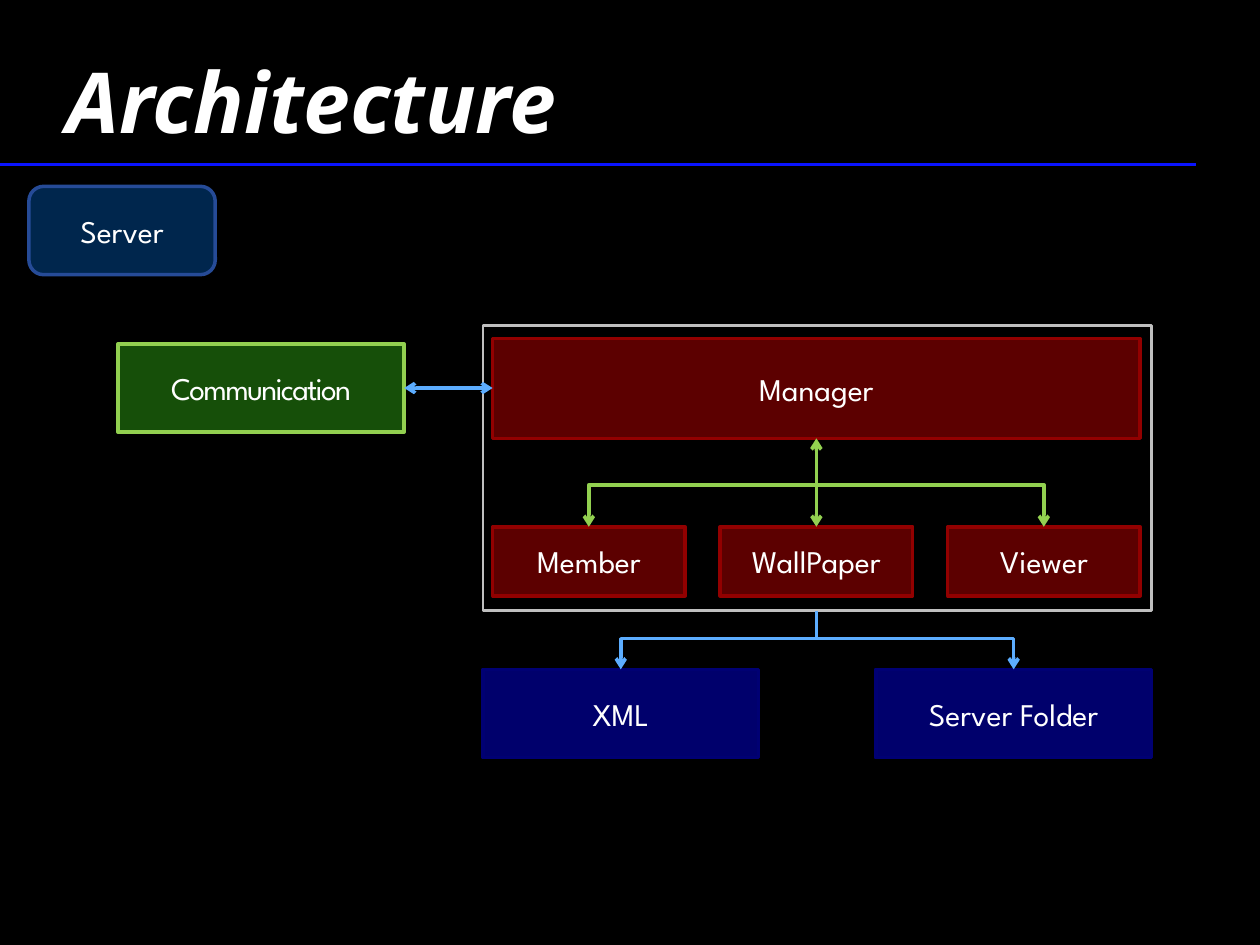
from lxml.etree import SubElement
from pptx import Presentation
from pptx.dml.color import RGBColor
from pptx.enum.shapes import MSO_CONNECTOR as Connector, MSO_SHAPE as Shape
from pptx.enum.text import MSO_ANCHOR as Anchor, PP_ALIGN as Align
from pptx.oxml.ns import qn
from pptx.util import Pt

COLORS = {
    "background": "000000", "text": "FFFFFF", "rule": "0A14FF", "frame": "BFBFBF",
    "red": "5C0000", "red edge": "920000", "green": "164F09", "lime": "92D050",
    "navy": "00006C", "navy edge": "000073", "server": "00264D",
    "server edge": "264B97", "sky": "5CADFF",
}
RED, NAVY = ("red", "red edge"), ("navy", "navy edge")

# Boxes: label, (left, top, width, height), (fill, edge)
FRAME = (276, 186, 382, 163)
MANAGER = (281.5, 193.5, 370, 57)
COMMUNICATION = (67.5, 196.5, 163.5, 50.5)
MODULES = ["Member", "WallPaper", "Viewer"]
MODULE_TOP, MODULE_WIDTH, MODULE_HEIGHT = 301, 110, 39.5
STORES = ["XML", "Server Folder"]
STORE_TOP, STORE_WIDTH, STORE_HEIGHT = 382.5, 157.5, 50.5


def spread(labels, outer, top, width, height, colors):
    """Boxes at equal gaps across the full width of the outer box."""
    step = (outer[2] - width) / (len(labels) - 1)
    return [(label, (outer[0] + i * step, top, width, height), colors)
            for i, label in enumerate(labels)]


modules = spread(MODULES, MANAGER, MODULE_TOP, MODULE_WIDTH, MODULE_HEIGHT, RED)
stores = spread(STORES, FRAME, STORE_TOP, STORE_WIDTH, STORE_HEIGHT, NAVY)
boxes = modules + [
    ("Manager", MANAGER, RED),
    ("Communication", COMMUNICATION, ("green", "lime")),
] + stores

presentation = Presentation()
presentation.slide_width, presentation.slide_height = Pt(720), Pt(540)
slide = presentation.slides.add_slide(presentation.slide_layouts[6])


def color(name):
    return RGBColor.from_string(COLORS[name])


slide.background.fill.solid()
slide.background.fill.fore_color.rgb = color("background")


def style_line(shape, name, width=2, arrows=False):
    shape.line.color.rgb = color(name)
    shape.line.width = Pt(width)
    if arrows:
        for end in ("a:headEnd", "a:tailEnd"):
            SubElement(shape.line._get_or_add_ln(), qn(end), type="arrow")


def add_line(start, end, name, width=2, arrows=False):
    line = slide.shapes.add_connector(
        Connector.STRAIGHT, *(Pt(value) for value in start + end))
    SubElement(line._element.spPr, qn("a:effectLst"))
    # The outline has to come before the effect list
    style_line(line, name, width, arrows)


def add_bracket(children, bar_y, name):
    """Bar above the outer boxes, with an arrow down to each."""
    (left, right), top = [center_x(children[i][1]) for i in (0, -1)], children[0][1][1]
    builder = slide.shapes.build_freeform(Pt(left), Pt(top))
    builder.add_line_segments(
        [(Pt(x), Pt(y)) for x, y in ((left, bar_y), (right, bar_y), (right, top))],
        close=False)
    bracket = builder.convert_to_shape()
    bracket.fill.background()
    bracket.shadow.inherit = False
    style_line(bracket, name, arrows=True)


def center_x(box):
    return box[0] + box[2] / 2


def add_box(label, box, colors, kind=Shape.RECTANGLE, width=2):
    fill, edge = colors
    shape = slide.shapes.add_shape(kind, *(Pt(value) for value in box))
    shape.shadow.inherit = False
    if fill:
        shape.fill.solid()
        shape.fill.fore_color.rgb = color(fill)
    else:
        shape.fill.background()
    style_line(shape, edge, width)
    if label:
        shape.text_frame.vertical_anchor = Anchor.MIDDLE
        paragraph = shape.text_frame.paragraphs[0]
        paragraph.text = label
        paragraph.alignment = Align.CENTER
        style_font(paragraph.font, "League Spartan", 18)
    return shape


def style_font(font, name, size):
    font.name, font.size = name, Pt(size)
    font.color.rgb = color("text")


# Title and rule
add_line((0, 94), (683.5, 94), "rule")
title = slide.shapes.add_textbox(Pt(31), Pt(23), Pt(487), Pt(68)).text_frame
title.word_wrap = True
title.vertical_anchor = Anchor.MIDDLE
paragraph = title.paragraphs[0]
paragraph.text = "Architecture"
style_font(paragraph.font, "Open Sans", 48)
paragraph.font.bold = paragraph.font.italic = True

# Boxes
add_box(None, FRAME, (None, "frame"), width=1.5)
for label, box, colors in boxes:
    shape = add_box(label, box, colors)
    if label == "Communication":
        run = shape.text_frame.paragraphs[0].runs[0]
        run.font._element.set("spc", "-100")
add_box("Server", (16.5, 106.5, 106.5, 50.5), ("server", "server edge"),
        Shape.ROUNDED_RECTANGLE)

# Connections
trunk = center_x(MANAGER)
frame_bottom = FRAME[1] + FRAME[3]
add_bracket(modules, 277, "lime")
add_line((trunk, MANAGER[1] + MANAGER[3]), (trunk, MODULE_TOP), "lime", arrows=True)
add_bracket(stores, 365, "sky")
add_line((trunk, frame_bottom), (trunk, 365), "sky")
link_y = COMMUNICATION[1] + COMMUNICATION[3] / 2
add_line((COMMUNICATION[0] + COMMUNICATION[2], link_y), (MANAGER[0], link_y),
         "sky", arrows=True)

presentation.save("out.pptx")
